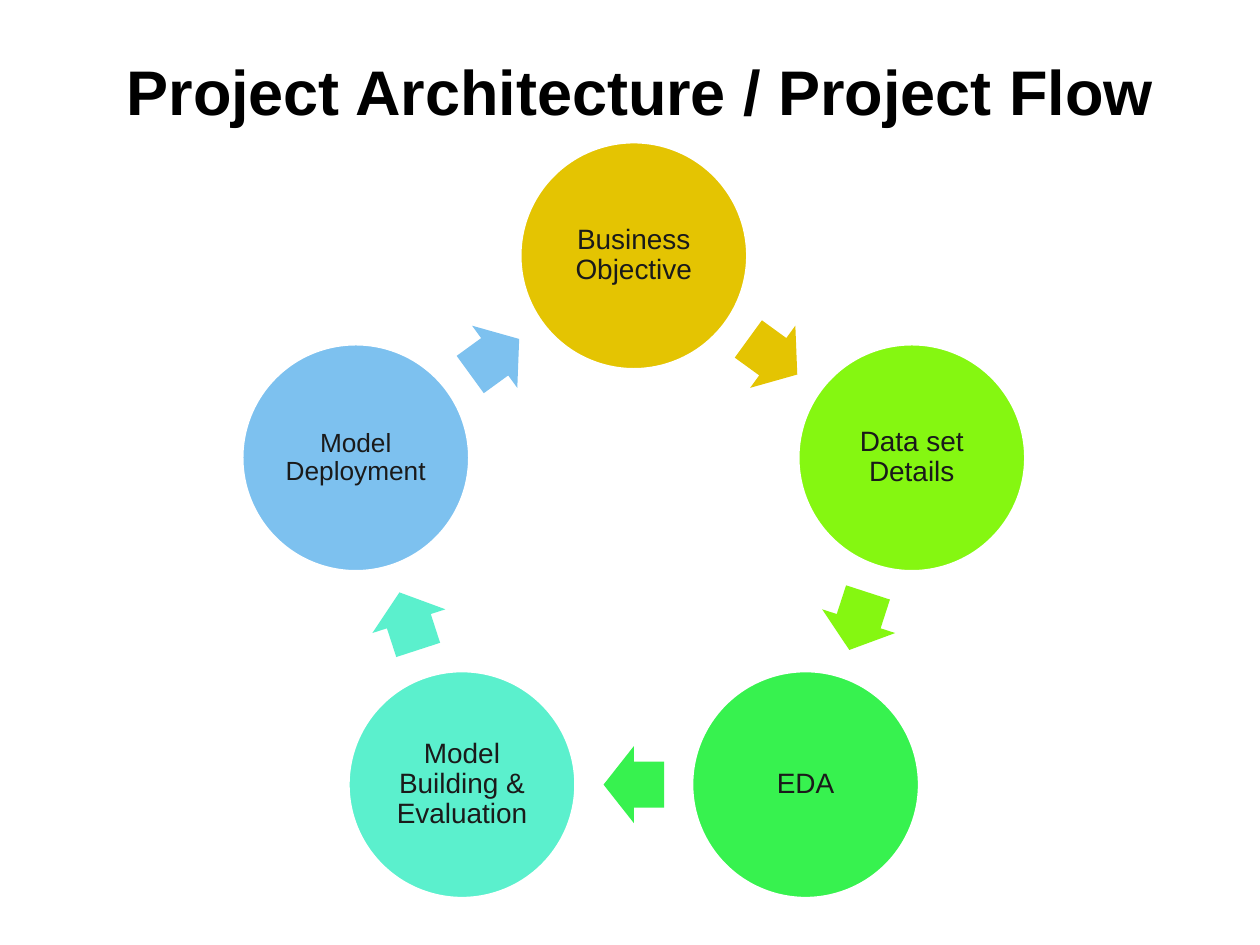
from math import cos, radians, sin
from typing import NamedTuple

from pptx import Presentation
from pptx.dml.color import RGBColor
from pptx.enum.shapes import MSO_SHAPE as Preset
from pptx.enum.text import MSO_ANCHOR as Anchor, MSO_AUTO_SIZE as AutoSize, PP_ALIGN as Align
from pptx.util import Inches, Pt

BLACK = RGBColor(0x00, 0x00, 0x00)
INK = RGBColor(0x1A, 0x1A, 0x1A)
WHITE = RGBColor(0xFF, 0xFF, 0xFF)
GOLD = RGBColor(0xE4, 0xC4, 0x02)
LIME = RGBColor(0x85, 0xF7, 0x11)
GREEN = RGBColor(0x37, 0xF2, 0x4F)
AQUA = RGBColor(0x5B, 0xF0, 0xCD)
SKY = RGBColor(0x7D, 0xC1, 0xEF)

# Cycle geometry, in inches
CENTER_X, CENTER_Y, RADIUS = 5.03, 4.35, 2.32
STAGE_SIZE = 1.81
ARROW_LENGTH, ARROW_WIDTH = 0.48, 0.61


class Stage(NamedTuple):
    label: str
    color: RGBColor
    size: int = 16


class Point(NamedTuple):
    x: float
    y: float


STAGES = [
    Stage("Business Objective", GOLD),
    Stage("Data set Details", LIME),
    Stage("EDA", GREEN),
    Stage("Model Building & Evaluation", AQUA),
    Stage("Model Deployment", SKY, 15),
]
STEP = 360 / len(STAGES)


def write(shape, text: str, *, size: int, color: RGBColor, bold: bool = False,
          line_spacing: float = 1.0) -> None:
    """Put one centred paragraph into a shape."""
    frame = shape.text_frame
    frame.word_wrap = True
    para = frame.paragraphs[0]
    para.alignment = Align.CENTER
    para.line_spacing = line_spacing
    span = para.add_run()
    span.text = text
    span.font.name = "Arial"
    span.font.size = Pt(size)
    span.font.bold = bold
    span.font.color.rgb = color


def stage_center(index: int) -> Point:
    """Centre of a stage, clockwise from the top."""
    angle = radians(index * STEP)
    return Point(CENTER_X + RADIUS * sin(angle), CENTER_Y - RADIUS * cos(angle))


def add_centered(page, preset: Preset, center: Point, width: float, height: float,
                 color: RGBColor):
    shape = page.shapes.add_shape(
        preset, Inches(center.x - width / 2), Inches(center.y - height / 2),
        Inches(width), Inches(height))
    shape.shadow.inherit = False
    shape.fill.solid()
    shape.fill.fore_color.rgb = color
    shape.line.fill.background()
    return shape


def add_stage(page, index: int, stage: Stage) -> None:
    circle = add_centered(page, Preset.OVAL, stage_center(index),
                          STAGE_SIZE, STAGE_SIZE, stage.color)
    circle.line.color.rgb = WHITE
    circle.line.width = Pt(2)
    frame = circle.text_frame
    frame.vertical_anchor = Anchor.MIDDLE
    frame.margin_left = frame.margin_right = Inches(0.02)
    frame.margin_top = frame.margin_bottom = Inches(0.02)
    write(circle, stage.label, size=stage.size, color=INK, line_spacing=0.9)


def add_arrow(page, index: int, color: RGBColor) -> None:
    """Arrow halfway between a stage and the next one."""
    start, end = stage_center(index), stage_center(index + 1)
    middle = Point((start.x + end.x) / 2, (start.y + end.y) / 2)
    arrow = add_centered(page, Preset.RIGHT_ARROW, middle,
                         ARROW_LENGTH, ARROW_WIDTH, color)
    arrow.adjustments[0] = 0.6
    arrow.adjustments[1] = 0.5
    arrow.rotation = (index + 0.5) * STEP


def main() -> None:
    deck = Presentation()
    deck.slide_width, deck.slide_height = Inches(10), Inches(7.5)
    page = deck.slides.add_slide(deck.slide_layouts[6])

    # Title
    title = page.shapes.add_textbox(Inches(0.36), Inches(0.37), Inches(9.44), Inches(0.71))
    title.text_frame.auto_size = AutoSize.SHAPE_TO_FIT_TEXT
    write(title, "Project Architecture / Project Flow", size=36, color=BLACK, bold=True)

    # Cycle of stages
    for index, stage in enumerate(STAGES):
        add_stage(page, index, stage)
        add_arrow(page, index, stage.color)

    deck.save("out.pptx")


if __name__ == "__main__":
    main()
